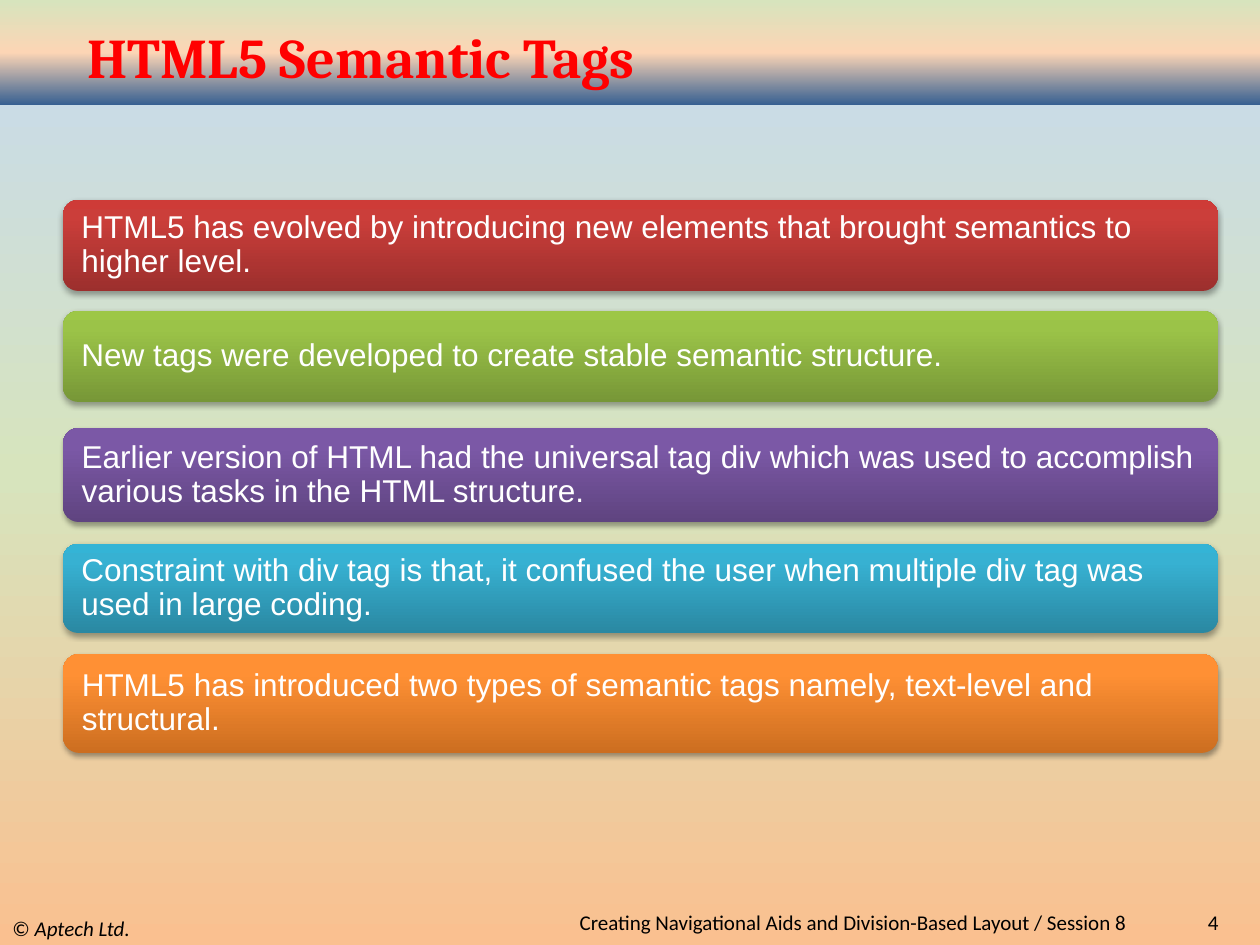
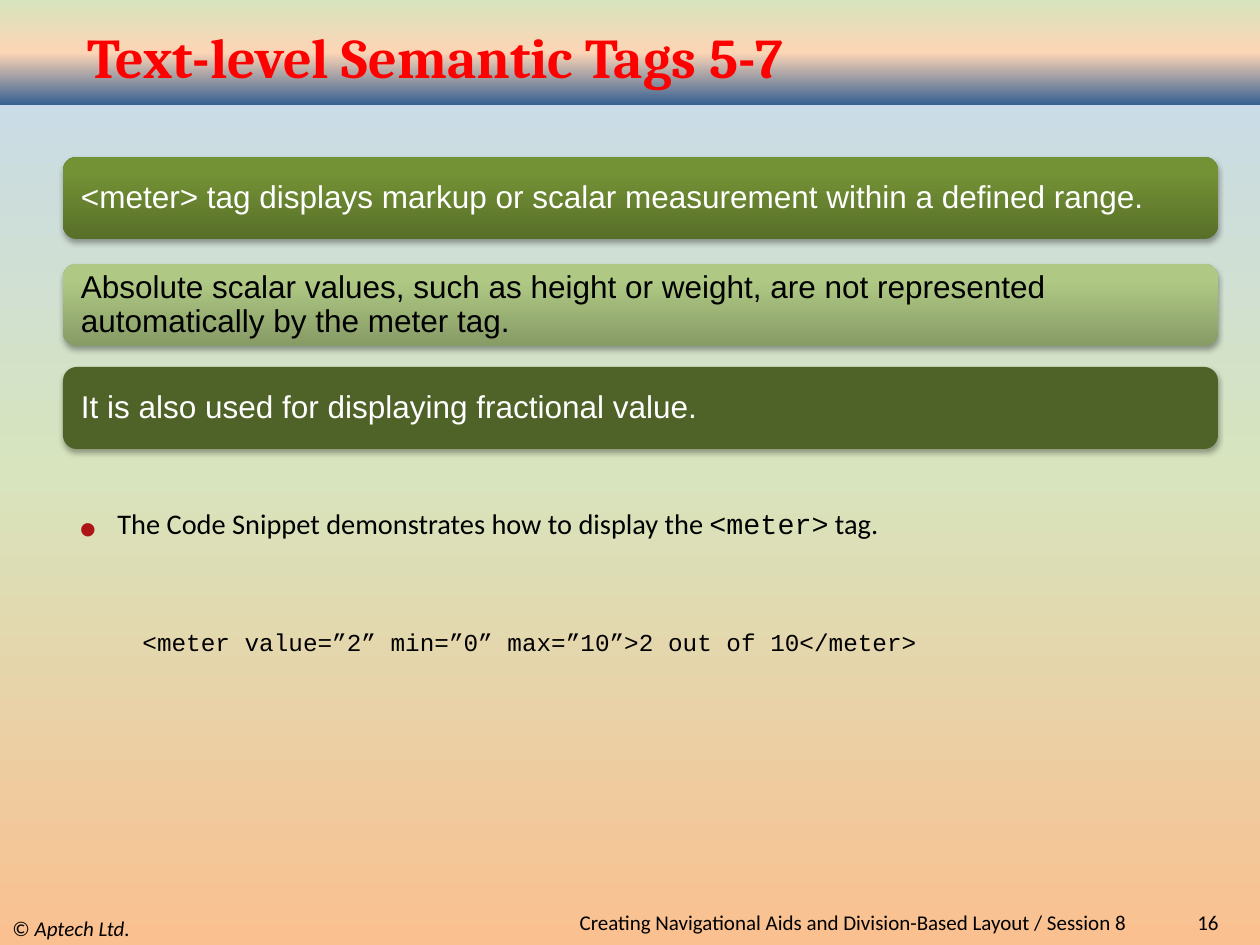
import copy

import pptx
import pptx.dml.color
import pptx.enum.shapes
import pptx.enum.text
import pptx.oxml
import pptx.oxml.ns
import pptx.util

RGB = pptx.dml.color.RGBColor
KIND = pptx.enum.shapes.MSO_SHAPE
ALIGN = pptx.enum.text.PP_ALIGN
MID = pptx.enum.text.MSO_ANCHOR.MIDDLE
Pt = pptx.util.Pt
qn = pptx.oxml.ns.qn

WIDE, HIGH = 1260, 945
BLACK = RGB(0x00, 0x00, 0x00)
WHITE = RGB(0xFF, 0xFF, 0xFF)
TITLE = RGB(0xFF, 0x00, 0x00)
PEACH = RGB(0xFA, 0xC0, 0x90)
CREAM = RGB(0xFC, 0xD5, 0xB5)
MINT = RGB(0xD7, 0xE4, 0xBD)
SKY = RGB(0xC6, 0xD9, 0xF1)
NAVY = RGB(0x37, 0x60, 0x92)
MOSS = RGB(0x4F, 0x62, 0x28)

# Each card tone runs from the bottom edge to the top edge.
RED = RGB(0x9C, 0x2F, 0x2D), RGB(0xCB, 0x3E, 0x3A), RGB(0xCE, 0x3B, 0x37)
LIME = RGB(0x77, 0x97, 0x37), RGB(0x9B, 0xC3, 0x48), RGB(0x9D, 0xC7, 0x46)
PLUM = RGB(0x5F, 0x44, 0x80), RGB(0x7B, 0x58, 0xA6), RGB(0x7C, 0x57, 0xA8)
TEAL = RGB(0x2A, 0x88, 0xA2), RGB(0x37, 0xB1, 0xD2), RGB(0x34, 0xB4, 0xD6)
AMBER = RGB(0xCC, 0x6E, 0x20), RGB(0xFF, 0x90, 0x34), RGB(0xFF, 0x91, 0x36)
GRASS = RGB(0x58, 0x6F, 0x29), RGB(0x73, 0x91, 0x35), RGB(0x74, 0x93, 0x34)
SAGE = RGB(0x87, 0x9B, 0x66), RGB(0xAF, 0xC9, 0x84), RGB(0xB0, 0xCB, 0x84)

NS = 'xmlns:a="http://schemas.openxmlformats.org/drawingml/2006/main"'
SHADOW = (f'<a:outerShdw {NS} blurRad="40000" dist="23000" dir="5400000" rotWithShape="0">'
          '<a:srgbClr val="000000"><a:alpha val="35000"/></a:srgbClr></a:outerShdw>')
BULLET = (f'<a:buClr {NS}><a:srgbClr val="AC1418"/></a:buClr>',
          f'<a:buFont {NS} typeface="Arial"/>',
          f'<a:buChar {NS} char="•"/>')


def px(n):
    return pptx.util.Emu(round(n * 914400 / 126))


def blend(fill, node, tones, mid):
    """Fill with three tones from bottom to top, the second one at mid."""
    fill.gradient()
    fill.gradient_angle = 90
    stops = node.find(".//" + qn("a:gsLst"))
    stops.append(copy.deepcopy(stops[0]))
    for stop, tone, place in zip(fill.gradient_stops, tones, (0, mid, 1)):
        stop.color.rgb = tone
        stop.position = place


class Deck:
    def __init__(self):
        self.file = pptx.Presentation()
        self.file.slide_width = px(WIDE)
        self.file.slide_height = px(HIGH)

    def start(self, title, number):
        """Add a slide with its background, band, title and footers."""
        self.slide = self.file.slides.add_slide(self.file.slide_layouts[6])
        blend(self.slide.background.fill, self.slide.element, (PEACH, MINT, SKY), 0.5)
        self.block(KIND.RECTANGLE, 0, 0, WIDE, 105, (NAVY, CREAM, MINT), 0.5)
        mark = self.text(0, 911, 420, 34, "© ", 12)
        run = mark.add_run()
        run.text = "Aptech Ltd."
        run.font.italic = True
        self.text(1124, 911, 107, 22, number, 12, align=ALIGN.RIGHT)
        self.text(315, 911, 824, 22, "Creating Navigational Aids and Division-Based Layout / Session 8",
                  12, align=ALIGN.RIGHT)
        head = self.text(75, 28, 1164, 56, title, 32, "Cambria", TITLE)
        head.font.bold = True

    def block(self, kind, x, y, w, h, tone, mid):
        shape = self.slide.shapes.add_shape(kind, px(x), px(y), px(w), px(h))
        shape.shadow.inherit = False
        shape.line.fill.background()
        if isinstance(tone, RGB):
            shape.fill.solid()
            shape.fill.fore_color.rgb = tone
        else:
            blend(shape.fill, shape.element, tone, mid)
        return shape

    def frame(self, x, y, w, h):
        frame = self.slide.shapes.add_textbox(px(x), px(y), px(w), px(h)).text_frame
        frame.word_wrap = True
        return frame

    def label(self, para, text, size, font="Calibri", color=BLACK, align=ALIGN.LEFT):
        para.add_run().text = text
        para.alignment = align
        para.font.size = Pt(size)
        para.font.name = font
        para.font.color.rgb = color
        return para

    def text(self, x, y, w, h, text, size, font="Calibri", color=BLACK, align=ALIGN.LEFT):
        frame = self.frame(x, y, w, h)
        frame.vertical_anchor = MID
        return self.label(frame.paragraphs[0], text, size, font, color, align)

    def card(self, y, h, tone, text, color=WHITE):
        shape = self.block(KIND.ROUNDED_RECTANGLE, 63, y, 1155, h, tone, 0.8)
        shape.element.find(".//" + qn("a:effectLst")).append(pptx.oxml.parse_xml(SHADOW))
        frame = shape.text_frame
        frame.word_wrap = True
        frame.vertical_anchor = MID
        frame.margin_left = frame.margin_right = px(14)
        para = self.label(frame.paragraphs[0], text, 18, "Arial", color)
        para.line_spacing = 0.9

    def raised(self, para, parts, size, left, hang):
        """Add (text, font) parts as raised text with a hanging indent."""
        props = para._p.get_or_add_pPr()
        props.set("marL", str(px(left)))
        props.set("indent", str(px(-hang)))
        if hang:
            for part in BULLET:
                props.append(pptx.oxml.parse_xml(part))
        para.alignment = ALIGN.JUSTIFY
        para.font.size = Pt(size)
        para.font.color.rgb = BLACK
        for text, font in parts:
            run = para.add_run()
            run.text = text
            run.font.name = font
            run._r.get_or_add_rPr().set("baseline", "30000")

    def sample(self, x, y, w, h, lead, code):
        frame = self.frame(x, y, w, h)
        self.raised(frame.paragraphs[0], lead, 28, 63, 38)
        para = frame.add_paragraph()
        self.raised(para, [(code, "Courier New")], 24, 88, 0)
        para.space_before = Pt(36)


def main():
    deck = Deck()

    deck.start("HTML5 Semantic Tags", "4")
    for y, h, tone, text in (
        (200, 91, RED, "HTML5 has evolved by introducing new elements that brought semantics to higher level."),
        (311, 91, LIME, "New tags were developed to create stable semantic structure."),
        (428, 94, PLUM, "Earlier version of HTML had the universal tag div which was used to accomplish "
                        "various tasks in the HTML structure."),
        (544, 89, TEAL, "Constraint with div tag is that, it confused the user when multiple div tag was "
                        "used in large coding."),
        (654, 99, AMBER, "HTML5 has introduced two types of semantic tags namely, text-level and structural."),
    ):
        deck.card(y, h, tone, text)

    deck.start("Text-level Semantic Tags 5-7", "16")
    for y, tone, text, color in (
        (157, GRASS, "<meter> tag displays markup or scalar measurement within a defined range.", WHITE),
        (264, SAGE, "Absolute scalar values, such as height or weight, are not represented "
                    "automatically by the meter tag.", BLACK),
        (367, MOSS, "It is also used for displaying fractional value.", WHITE),
    ):
        deck.card(y, 82, tone, text, color)
    lead = [("The Code Snippet demonstrates how to display the ", "Calibri"),
            ("<meter>", "Courier New"), (" tag.", "Calibri")]
    deck.sample(42, 494, 1176, 180, lead, "<meter value=”2” min=”0” max=”10”>2 out of 10</meter>")

    deck.file.save("out.pptx")


if __name__ == "__main__":
    main()
